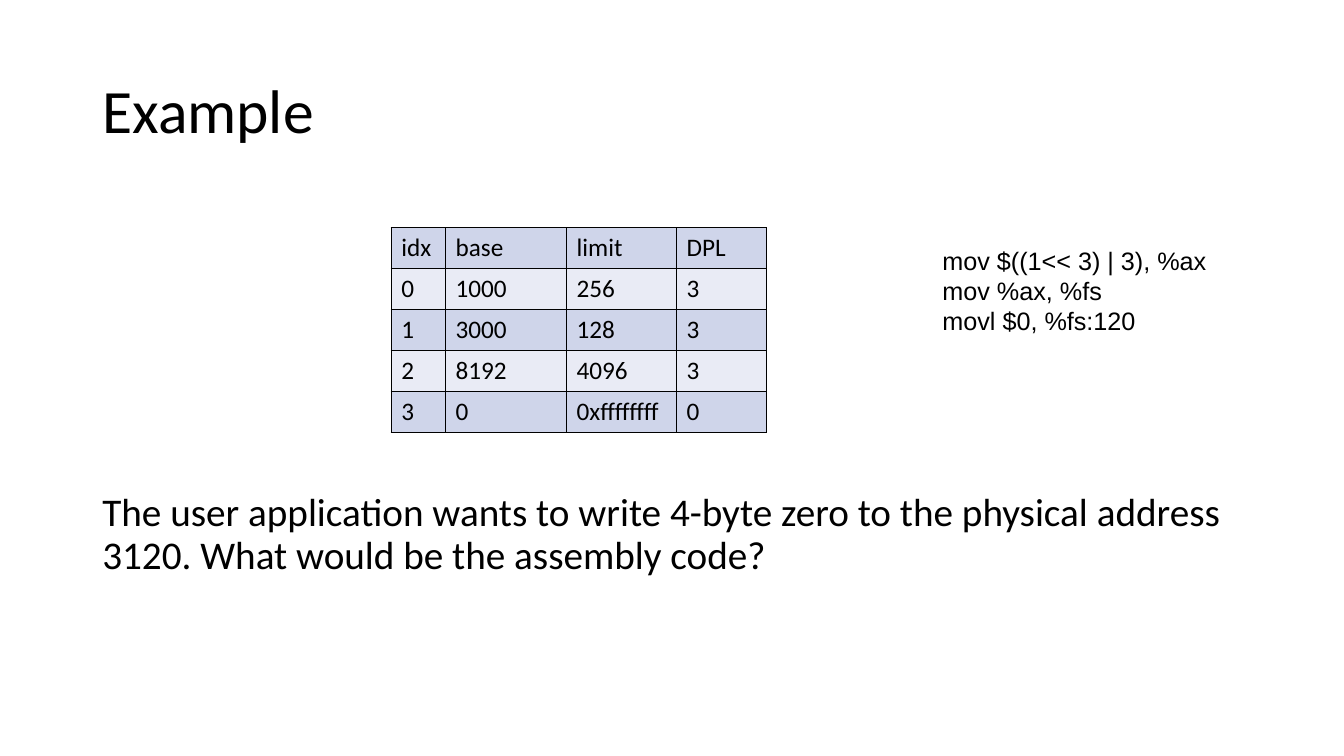
from lxml import etree
from pptx import Presentation
from pptx.dml.color import RGBColor
from pptx.enum.text import MSO_ANCHOR
from pptx.oxml.ns import qn
from pptx.util import Cm, Pt

TOP, MIDDLE = MSO_ANCHOR.TOP, MSO_ANCHOR.MIDDLE
BORDERS = ("a:lnL", "a:lnR", "a:lnT", "a:lnB")


def color(value):
    return RGBColor.from_string(value)


class SlideBuilder:
    font, ink = "Calibri", "000000"
    bands = ("CFD5EA", "E9EBF5")

    def __init__(self, slide):
        self.s = slide

    def style(self, tf, size, font=None, spacing=None):
        for p in tf.paragraphs:
            if spacing:
                p.line_spacing = spacing
            for r in p.runs:
                r.font.name = font or self.font
                r.font.size = Pt(size)
                r.font.color.rgb = color(self.ink)

    def text(self, x, y, w, h, text, size, anchor=TOP, font=None, spacing=None):
        sp = self.s.shapes.add_textbox(Cm(x), Cm(y), Cm(w), Cm(h))
        tf = sp.text_frame
        tf.word_wrap = True
        tf.vertical_anchor = anchor
        tf.text = text
        self.style(tf, size, font, spacing)

    def border(self, cell):
        tc_pr = cell._tc.get_or_add_tcPr()
        for i, tag in enumerate(BORDERS):
            ln = etree.Element(qn(tag), w=str(Pt(1)))
            fill = etree.SubElement(ln, qn("a:solidFill"))
            etree.SubElement(fill, qn("a:srgbClr"), val=self.ink)
            tc_pr.insert(i, ln)

    def table(self, x, y, widths, row_height, rows, size):
        frame = self.s.shapes.add_table(
            len(rows), len(widths), Cm(x), Cm(y),
            Cm(sum(widths)), Cm(row_height * len(rows)))
        table = frame.table
        table.first_row = table.horz_banding = False
        for column, width in zip(table.columns, widths):
            column.width = Cm(width)
        for i, values in enumerate(rows):
            table.rows[i].height = Cm(row_height)
            for j, value in enumerate(values):
                cell = table.cell(i, j)
                cell.text_frame.text = value
                self.style(cell.text_frame, size)
                cell.fill.solid()
                cell.fill.fore_color.rgb = color(self.bands[i % 2])
                self.border(cell)


def main():
    prs = Presentation()
    prs.slide_width, prs.slide_height = Cm(33.87), Cm(19.05)
    b = SlideBuilder(prs.slides.add_slide(prs.slide_layouts[6]))

    # Title
    b.text(2.33, 1.01, 29.21, 3.68, "Example", 44, MIDDLE, spacing=0.9)

    # Question
    b.text(2.33, 12.3, 29.21, 4.87,
           "The user application wants to write 4-byte zero to the physical "
           "address 3120. What would be the assembly code?", 28, spacing=0.9)

    # Descriptor table
    b.table(9.86, 5.74, (1.37, 3.05, 2.77, 2.26), 1.03, [
        ("idx", "base", "limit", "DPL"),
        ("0", "1000", "256", "3"),
        ("1", "3000", "128", "3"),
        ("2", "8192", "4096", "3"),
        ("3", "0", "0xffffffff", "0"),
    ], 18)

    # Assembly code
    b.text(23.5, 6.05, 9.19, 2.57,
           "mov $((1<< 3) | 3), %ax\nmov %ax, %fs\nmovl $0, %fs:120",
           18, font="Arial")

    prs.save("out.pptx")


if __name__ == "__main__":
    main()
